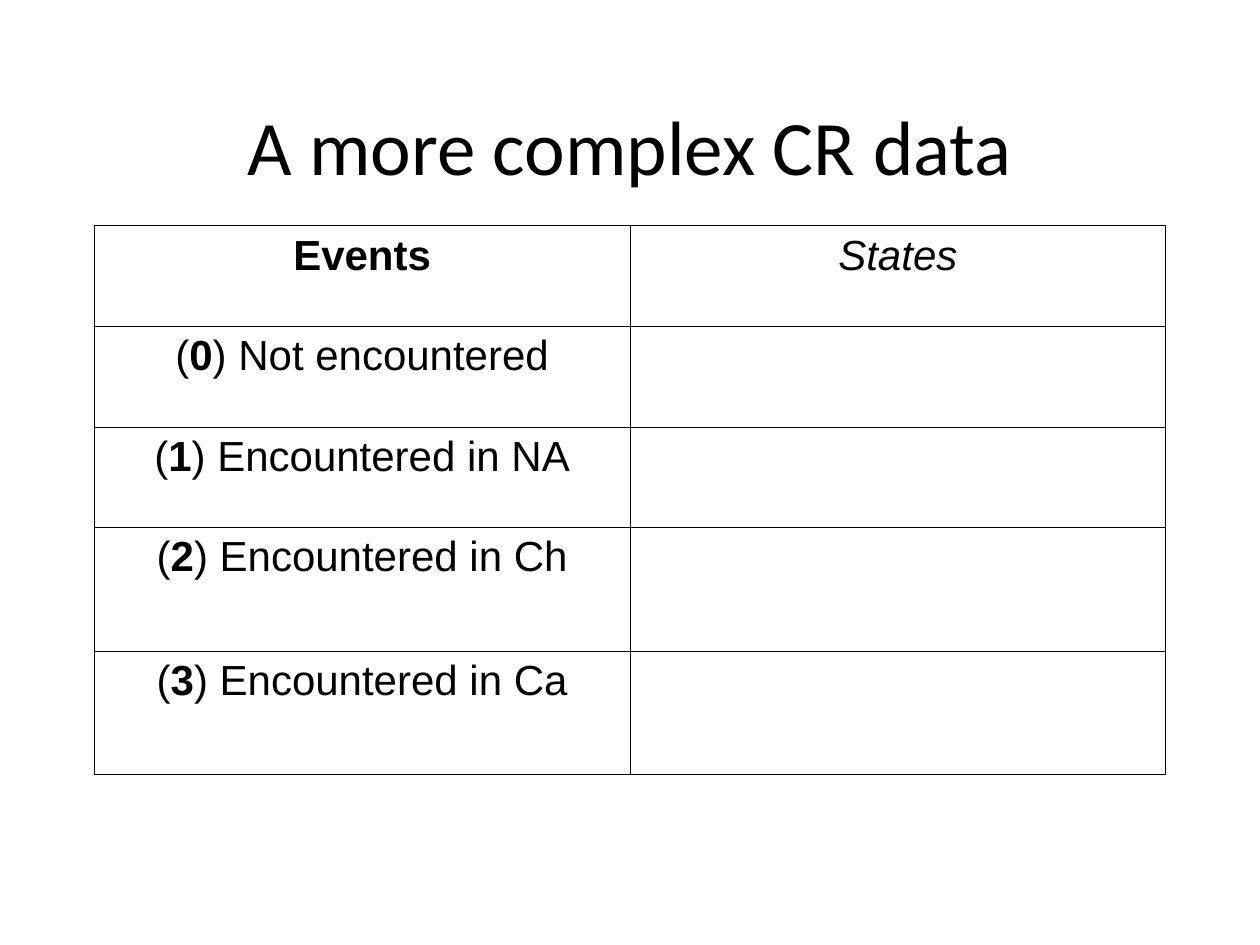
from pptx import Presentation
from pptx.dml.color import RGBColor
from pptx.enum.text import MSO_ANCHOR as Anchor, PP_ALIGN as Align
from pptx.oxml import parse_xml
from pptx.oxml.ns import nsdecls
from pptx.util import Cm, Pt

BLACK = "000000"
LEFT, WIDTH = 1.9, 21.6
ROWS = [2.03, 2.03, 2.03, 2.49, 2.49]
EVENTS = ["Not encountered", "Encountered in NA",
          "Encountered in Ch", "Encountered in Ca"]


def color(code):
    return RGBColor.from_string(code)


def style(run, font, size, bold=False, italic=False):
    run.font.name = font
    run.font.size = Pt(size)
    run.font.bold = bold
    run.font.italic = italic
    run.font.color.rgb = color(BLACK)


def add_title(slide, text):
    box = slide.shapes.add_textbox(Cm(LEFT), Cm(1.32), Cm(WIDTH), Cm(3.18))
    frame = box.text_frame
    frame.word_wrap = True
    frame.vertical_anchor = Anchor.MIDDLE
    frame.text = text
    para = frame.paragraphs[0]
    para.alignment = Align.CENTER
    style(para.runs[0], "Calibri", 44)


def add_border(cell, code, width):
    props = cell._tc.get_or_add_tcPr()
    for i, side in enumerate("LRTB"):
        line = parse_xml(
            f'<a:ln{side} {nsdecls("a")} w="{Pt(width)}"><a:solidFill>'
            f'<a:srgbClr val="{code}"/></a:solidFill></a:ln{side}>')
        props.insert(i, line)


def fill_cell(cell, parts):
    """Write (text, bold, italic) parts as one centred line."""
    para = cell.text_frame.paragraphs[0]
    para.alignment = Align.CENTER
    para.space_before = Pt(6)
    for text, bold, italic in parts:
        run = para.add_run()
        run.text = text
        style(run, "Arial", 24, bold, italic)


def add_grid(slide):
    frame = slide.shapes.add_table(len(ROWS), 2, Cm(LEFT), Cm(4.55),
                                   Cm(WIDTH), Cm(sum(ROWS)))
    table = frame.table
    table.first_row = table.horz_banding = False
    for col in table.columns:
        col.width = Cm(WIDTH / 2)
    for row, height in zip(table.rows, ROWS):
        row.height = Cm(height)
    for cell in table.iter_cells():
        cell.fill.background()
        add_border(cell, BLACK, 0.45)

    # Header row
    fill_cell(table.cell(0, 0), [("Events", True, False)])
    fill_cell(table.cell(0, 1), [("States", False, True)])

    # Numbered events; their states stay open
    for i, event in enumerate(EVENTS):
        fill_cell(table.cell(i + 1, 0), [("(", False, False),
                                         (str(i), True, False),
                                         (f") {event}", False, False)])


def main():
    deck = Presentation()
    deck.slide_width, deck.slide_height = Cm(25.4), Cm(19.05)
    slide = deck.slides.add_slide(deck.slide_layouts[6])
    add_title(slide, "A more complex CR data")
    add_grid(slide)
    deck.save("out.pptx")


if __name__ == "__main__":
    main()
